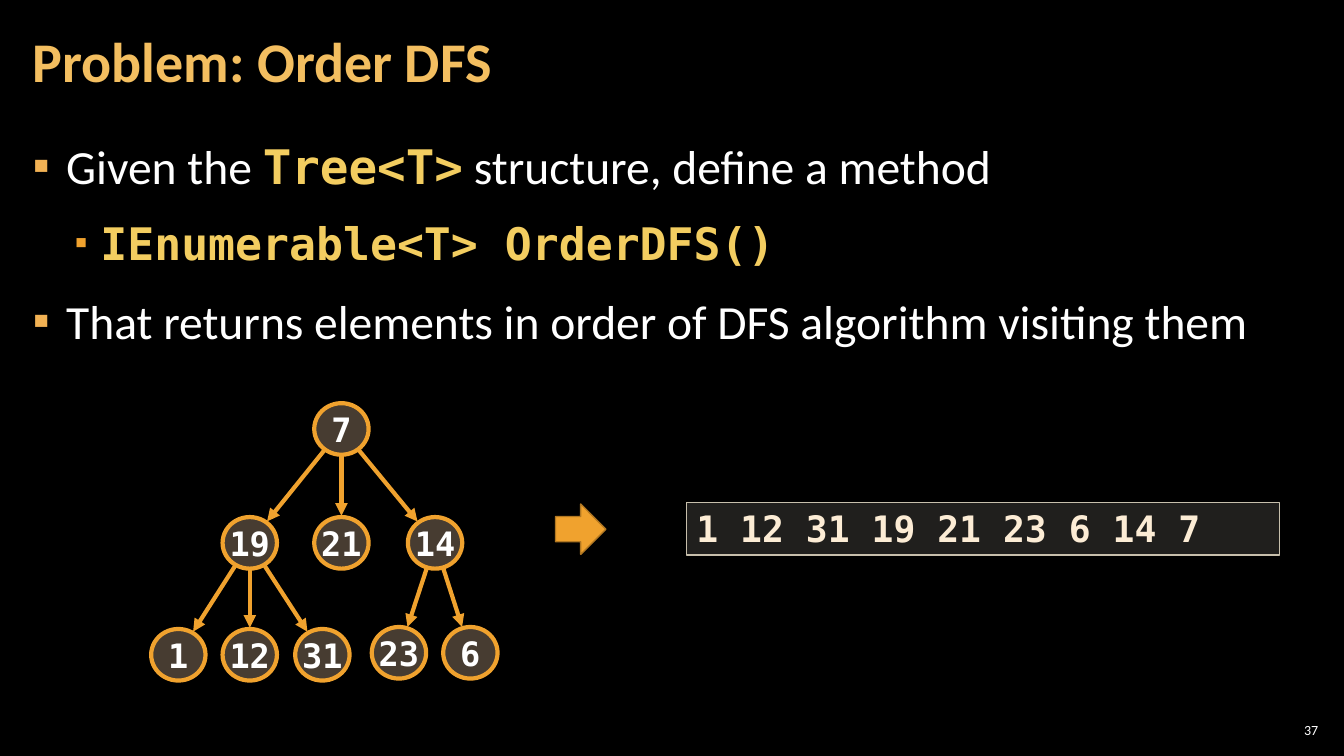
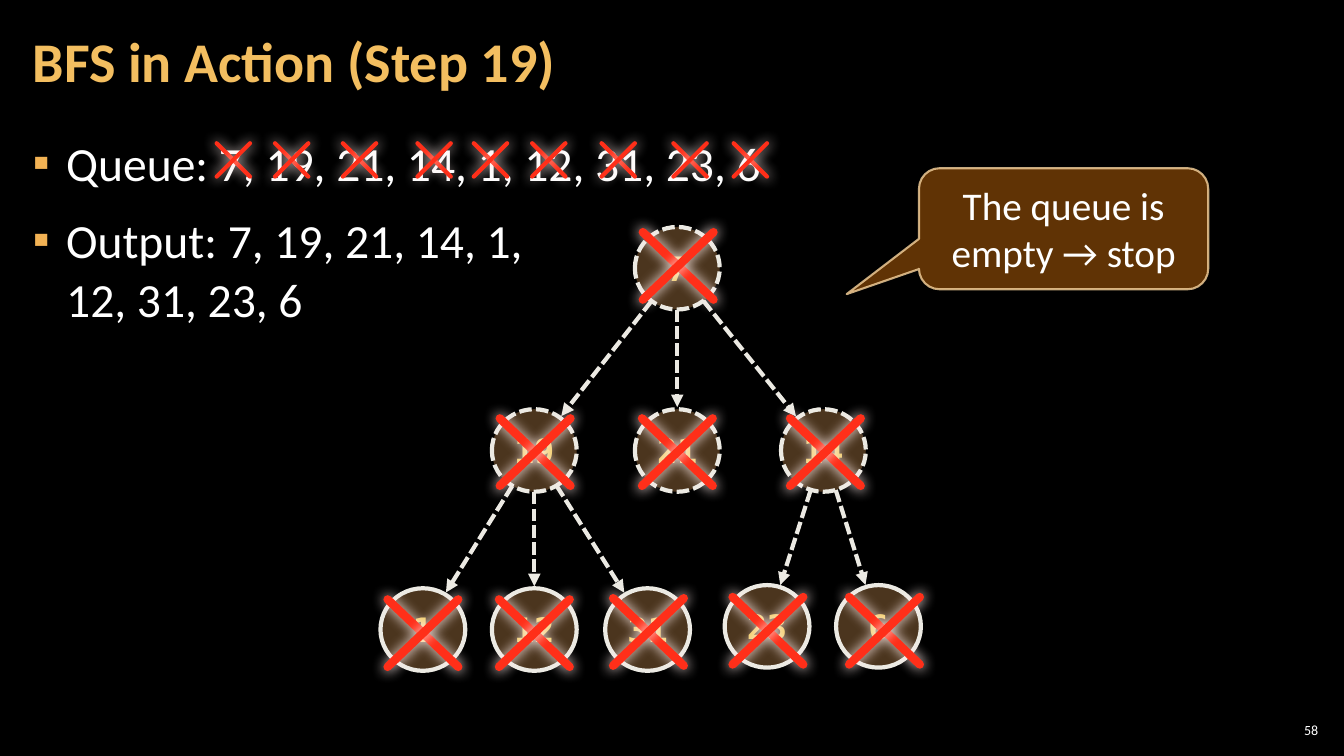
from dataclasses import dataclass
from math import hypot

from lxml import etree
from pptx import Presentation
from pptx.dml.color import RGBColor
from pptx.enum import dml, shapes, text
from pptx.oxml.ns import qn
from pptx.util import Cm, Pt


@dataclass(frozen=True)
class Theme:
    font: str = "Calibri"
    mono: str = "DejaVu Sans Mono"
    background: str = "000000"
    white: str = "FFFFFF"
    title: str = "F3BE60"
    code: str = "F3CD60"
    bullet: str = "F2B254"
    orange: str = "F0A22E"
    arrow_line: str = "B27822"
    output: str = "FCECD5"
    output_fill: str = "D9D5C7"
    output_line: str = "C7BFAC"
    callout_fill: str = "663606"
    callout_line: str = "F8D49E"
    cross: str = "FF2F19"
    glow: str = "FFEDEB"
    title_size: int = 40
    body_size: int = 34
    sub_size: int = 32
    callout_size: int = 28
    output_size: int = 26
    node_size: int = 24
    number_size: int = 10


@dataclass(frozen=True)
class TreeStyle:
    left: float
    top: float
    scale_x: float
    scale_y: float
    fill: str
    alpha: int
    line: str
    text: str
    dashed: bool


THEME = Theme()
SLIDE_SIZE = (33.87, 19.05)
TITLE_BOX = (0.53, 0.1, 26.59, 3.07)
BODY_BOX = (0.53, 3.2, 32.79, 15.47)
NUMBER_BOX = (32.13, 18.14, 1.19, 0.53)
BODY_INSETS = (0.3, 0.1)
NUMBER_INSETS = (0.1, 0.1)
# Left indent and hanging width (cm), text size, bullet colour, bullet percent
LEVELS = [
    (0.84, 0.84, THEME.body_size, THEME.bullet, 100),
    (1.7, 0.64, THEME.sub_size, THEME.orange, 80),
]

# Each bullet: level, then runs of (text, is code)
DFS = {
    "title": "Problem: Order DFS",
    "number": "37",
    "spacing": 1.1,
    "bullets": [
        (0, [("Given the ", False), ("Tree<T>", True),
             (" structure, define a method", False)]),
        (1, [("IEnumerable<T> OrderDFS()", True)]),
        (0, [("That returns elements in order of DFS algorithm visiting them", False)]),
    ],
}
DFS_OUTPUT = "1 12 31 19 21 23 6 14 7"
BFS = {
    "title": "BFS in Action (Step 19)",
    "number": "58",
    "spacing": 1.05,
    "bullets": [
        (0, [("Queue: 7, 19, 21, 14, 1, 12, 31, 23, 6", False)]),
        (0, [("Output: 7, 19, 21, 14, 1,\n12, 31, 23, 6", False)]),
    ],
}
BFS_CALLOUT = "The queue is empty → stop"

# Node positions in cm from the root, before scaling
NODE_SIZE = (1.37, 1.3)
NODES = {
    "7": (0, 0),
    "19": (-2.31, 2.87), "21": (0, 2.87), "14": (2.36, 2.87),
    "1": (-4.11, 5.69), "12": (-2.31, 5.69), "31": (-0.48, 5.69),
    "23": (1.45, 5.64), "6": (3.25, 5.64),
}
CHILDREN = {"7": ["19", "21", "14"], "19": ["1", "12", "31"], "14": ["23", "6"]}
EDGE_GAP = 1.05
DFS_TREE = TreeStyle(7.92, 10.16, 1, 1, "ECC8A4", 30, THEME.orange, THEME.white, False)
BFS_TREE = TreeStyle(16, 5.72, 1.56, 1.6, "6C4C2C", 70, "ECEAE3", THEME.code, True)

QUEUE_CROSS_LEFTS = [5.46, 6.93, 8.64, 10.52, 11.94, 13.41, 15.16, 16.97, 18.49]
QUEUE_CROSS_TOP = 3.61
QUEUE_CROSS_SIZE = (0.84, 0.84)
NODE_CROSS_SIZE = (1.78, 1.7)
NODE_CROSS_OFFSETS = {
    "7": (0.2, 0.13),
    "19": (0.2, 0.23), "21": (0.18, 0.23), "14": (0.23, 0.23),
    "1": (0.18, 0.28), "12": (0.18, 0.28), "31": (0.2, 0.25),
    "23": (0.2, 0.3), "6": (0.33, 0.3),
}


def cm_all(values):
    return [Cm(value) for value in values]


def add_xml(parent, tag, **attributes):
    return etree.SubElement(parent, qn(tag), attributes)


def set_alpha(parent, percent):
    """Make the solid fill that is a child of parent partly transparent."""
    colour = parent.find(qn("a:solidFill")).find(qn("a:srgbClr"))
    add_xml(colour, "a:alpha", val=str(percent * 1000))


def add_run(paragraph, words, size, colour, font=THEME.font, bold=False):
    for index, line in enumerate(words.split("\n")):
        if index:
            paragraph.add_line_break()
        run = paragraph.add_run()
        run.text = line
        run.font.name = font
        run.font.size = Pt(size)
        run.font.bold = bold
        run.font.color.rgb = RGBColor.from_string(colour)


def add_text_box(slide, box, insets, anchor):
    frame = slide.shapes.add_textbox(*cm_all(box)).text_frame
    frame.word_wrap = True
    frame.vertical_anchor = anchor
    frame.margin_left = frame.margin_right = Cm(insets[0])
    frame.margin_top = frame.margin_bottom = Cm(insets[1])
    return frame


def add_shape(slide, kind, box, fill, line, width, alpha=100):
    shape = slide.shapes.add_shape(kind, *cm_all(box))
    shape.shadow.inherit = False
    shape.fill.solid()
    shape.fill.fore_color.rgb = RGBColor.from_string(fill)
    set_alpha(shape.element.spPr, alpha)
    shape.line.color.rgb = RGBColor.from_string(line)
    shape.line.width = Pt(width)
    return shape


def add_line(slide, start, end, colour, width):
    """Add a straight line; return it with its empty effect list."""
    line = slide.shapes.add_connector(
        shapes.MSO_CONNECTOR.STRAIGHT, *cm_all((*start, *end)))
    line.line.color.rgb = RGBColor.from_string(colour)
    line.line.width = Pt(width)
    return line, add_xml(line.element.spPr, "a:effectLst")


def add_bullet(paragraph, level, runs, spacing):
    indent, hanging, size, colour, percent = LEVELS[level]
    paragraph.level = level
    paragraph.line_spacing = spacing
    paragraph.space_before = paragraph.space_after = Pt(6)
    properties = paragraph._p.get_or_add_pPr()
    properties.set("marL", str(Cm(indent)))
    properties.set("indent", str(-Cm(hanging)))
    add_xml(add_xml(properties, "a:buClr"), "a:srgbClr", val=colour)
    add_xml(properties, "a:buSzPct", val=str(percent * 1000))
    add_xml(properties, "a:buFont", typeface=THEME.font)
    add_xml(properties, "a:buChar", char="▪")
    for words, is_code in runs:
        if is_code:
            add_run(paragraph, words, size, THEME.code, THEME.mono, True)
        else:
            add_run(paragraph, words, size, THEME.white)


def add_base_slide(presentation, content):
    """Add a slide with its number, bullets and title."""
    slide = presentation.slides.add_slide(presentation.slide_layouts[6])
    middle = text.MSO_ANCHOR.MIDDLE
    number = add_text_box(slide, NUMBER_BOX, NUMBER_INSETS, middle).paragraphs[0]
    number.alignment = text.PP_ALIGN.RIGHT
    add_run(number, content["number"], THEME.number_size, THEME.white)

    body = add_text_box(slide, BODY_BOX, BODY_INSETS, text.MSO_ANCHOR.TOP)
    for index, (level, runs) in enumerate(content["bullets"]):
        paragraph = body.add_paragraph() if index else body.paragraphs[0]
        add_bullet(paragraph, level, runs, content["spacing"])

    title = add_text_box(slide, TITLE_BOX, BODY_INSETS, middle).paragraphs[0]
    title.line_spacing = 0.9
    add_run(title, content["title"], THEME.title_size, THEME.title, bold=True)
    return slide


def node_box(name, style):
    x, y = NODES[name]
    return (style.left + x * style.scale_x, style.top + y * style.scale_y,
            NODE_SIZE[0] * style.scale_x, NODE_SIZE[1] * style.scale_y)


def edge_ends(parent, child):
    """Find where the line between two node centres leaves and meets their rims."""
    left, top, width, height = parent
    radius_x, radius_y = width / 2, height / 2
    dx, dy = child[0] - left, child[1] - top
    rim = 1 / hypot(dx / radius_x, dy / radius_y)
    return [(left + radius_x + dx * part, top + radius_y + dy * part)
            for part in (rim, 1 - rim * EDGE_GAP)]


def add_tree(slide, style):
    for parent, children in CHILDREN.items():
        for child in children:
            start, end = edge_ends(node_box(parent, style), node_box(child, style))
            edge, _ = add_line(slide, start, end, style.line, 3)
            if style.dashed:
                edge.line.dash_style = dml.MSO_LINE.SQUARE_DOT
            add_xml(edge.get_or_add_ln(), "a:tailEnd", type="triangle")
    for name in NODES:
        node = add_shape(slide, shapes.MSO_SHAPE.OVAL, node_box(name, style),
                         style.fill, style.line, 3, style.alpha)
        if style.dashed and name in CHILDREN or style.dashed and name == "21":
            node.line.dash_style = dml.MSO_LINE.SQUARE_DOT
        frame = node.text_frame
        frame.word_wrap = False
        frame.vertical_anchor = text.MSO_ANCHOR.MIDDLE
        frame.paragraphs[0].alignment = text.PP_ALIGN.CENTER
        add_run(frame.paragraphs[0], name, THEME.node_size, style.text, THEME.mono, True)


def add_cross(slide, left, top, size, width):
    """Add two glowing diagonal strokes."""
    right, bottom = left + size[0], top + size[1]
    for start, end in (((left, top), (right, bottom)), ((right, top), (left, bottom))):
        stroke, effects = add_line(slide, start, end, THEME.cross, width)
        stroke.get_or_add_ln().set("cap", "rnd")
        glow = add_xml(effects, "a:outerShdw", blurRad=str(Pt(10)), dist="0",
                       dir="5400000", algn="ctr", rotWithShape="0")
        add_xml(glow, "a:srgbClr", val=THEME.glow)


def build_dfs(presentation):
    slide = add_base_slide(presentation, DFS)
    add_tree(slide, DFS_TREE)
    add_shape(slide, shapes.MSO_SHAPE.RIGHT_ARROW, (14, 12.7, 1.27, 1.27),
              THEME.orange, THEME.arrow_line, 1)
    output = add_shape(slide, shapes.MSO_SHAPE.RECTANGLE, (17.3, 12.67, 14.94, 1.32),
                       THEME.output_fill, THEME.output_line, 1, 15)
    output.text_frame.word_wrap = True
    output.text_frame.vertical_anchor = text.MSO_ANCHOR.TOP
    paragraph = output.text_frame.paragraphs[0]
    paragraph.alignment = text.PP_ALIGN.LEFT
    paragraph.line_spacing = Pt(30)
    add_run(paragraph, DFS_OUTPUT, THEME.output_size, THEME.output, THEME.mono, True)


def build_bfs(presentation):
    slide = add_base_slide(presentation, BFS)
    for left in QUEUE_CROSS_LEFTS:
        add_cross(slide, left, QUEUE_CROSS_TOP, QUEUE_CROSS_SIZE, 3)
    callout = add_shape(slide, shapes.MSO_SHAPE.ROUNDED_RECTANGULAR_CALLOUT,
                        (23.16, 4.24, 7.29, 3.05),
                        THEME.callout_fill, THEME.callout_line, 1.5, 95)
    set_alpha(callout.get_or_add_ln(), 80)
    for index, value in enumerate((-0.75, 0.54, 0.17)):
        callout.adjustments[index] = value
    callout.text_frame.word_wrap = True
    callout.text_frame.vertical_anchor = text.MSO_ANCHOR.MIDDLE
    paragraph = callout.text_frame.paragraphs[0]
    paragraph.alignment = text.PP_ALIGN.CENTER
    add_run(paragraph, BFS_CALLOUT, THEME.callout_size, THEME.white)
    add_tree(slide, BFS_TREE)
    for name, (dx, dy) in NODE_CROSS_OFFSETS.items():
        left, top, _, _ = node_box(name, BFS_TREE)
        add_cross(slide, left + dx, top + dy, NODE_CROSS_SIZE, 6)


def main():
    presentation = Presentation()
    presentation.slide_width, presentation.slide_height = cm_all(SLIDE_SIZE)
    background = presentation.slide_master.background.fill
    background.solid()
    background.fore_color.rgb = RGBColor.from_string(THEME.background)
    build_dfs(presentation)
    build_bfs(presentation)
    presentation.save("out.pptx")


if __name__ == "__main__":
    main()
